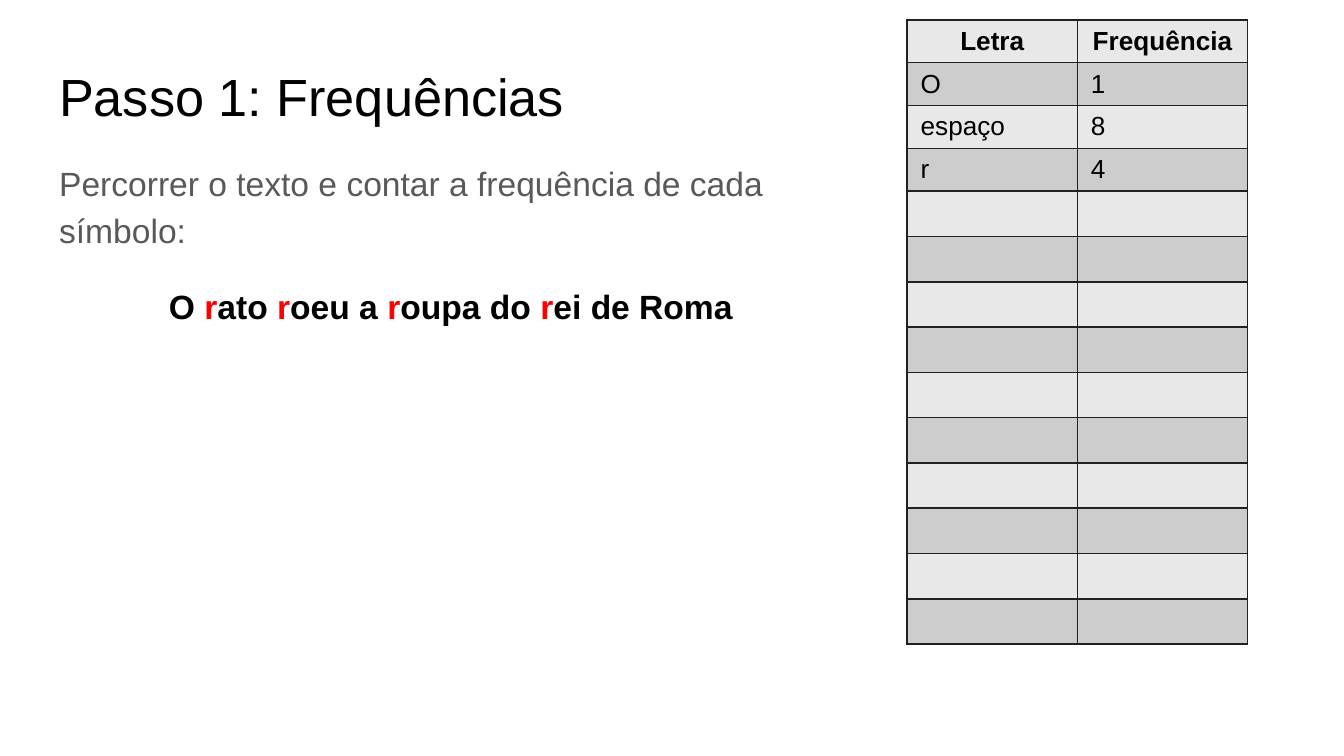
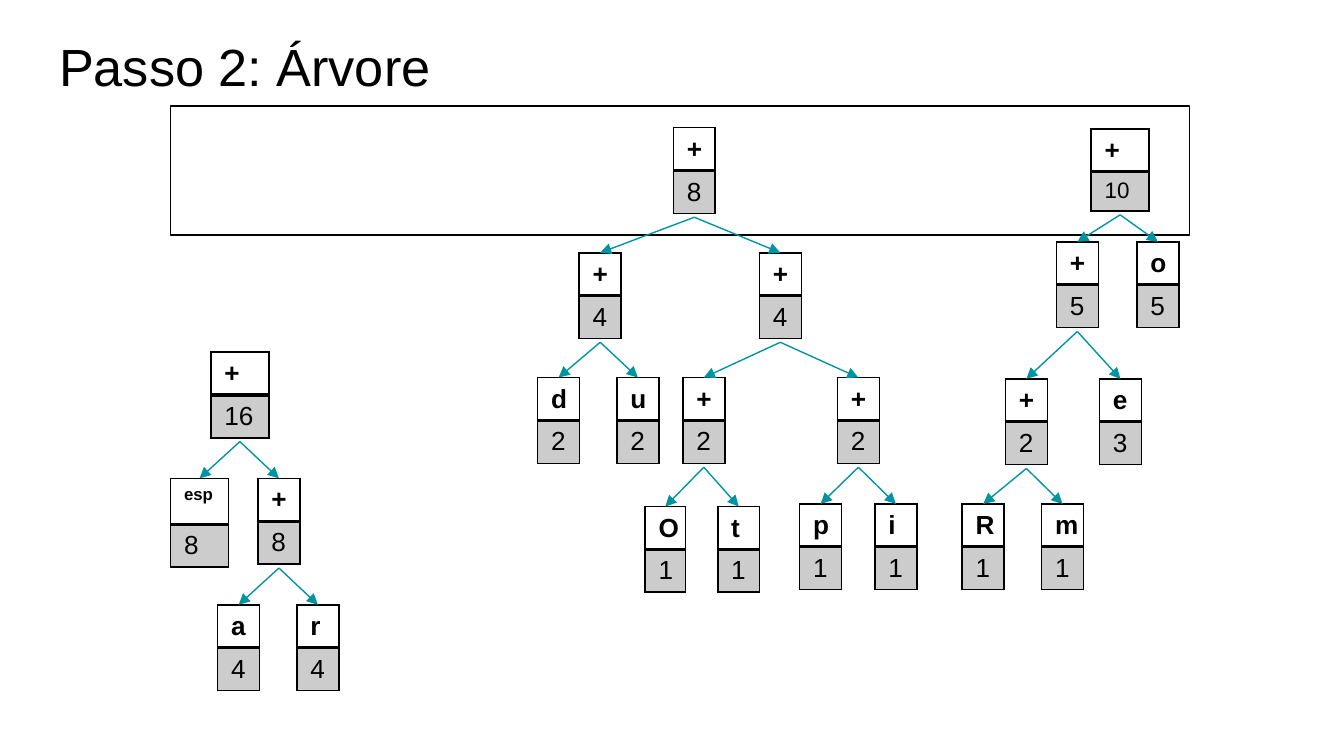
import pptx
import pptx.dml.color
import pptx.enum.shapes
import pptx.enum.text
import pptx.oxml
import pptx.oxml.ns
import pptx.util
from lxml import etree

Pt = pptx.util.Pt
qn = pptx.oxml.ns.qn
ALIGN = pptx.enum.text.PP_ALIGN

FONT = "Arial"
BLACK, GRAY, RED, TEAL = "000000", "595959", "FF0000", "0094A3"
LIGHT, DARK, GRID = "E8E8E8", "CDCDCD", "212121"
ROW_H = 22.9


def paint(fill, color, alpha=None):
    """Make a fill (of a shape, line, font or cell) solid, with alpha in percent."""
    fill.solid()
    fill.fore_color.rgb = pptx.dml.color.RGBColor.from_string(color)
    if alpha is not None:
        srgb = fill._xPr.find(qn("a:solidFill"))[0]
        etree.SubElement(srgb, qn("a:alpha")).set("val", str(alpha * 1000))


def set_cell(cell, text, size, bold, border, bottom=1):
    """Write a cell's text and draw its four borders."""
    p = cell.text_frame.paragraphs[0]
    p.text = text
    for r in p.runs:
        r.font.name, r.font.size, r.font.bold = FONT, Pt(size), bold
        paint(r.font.fill, BLACK)
    p._p.get_or_add_endParaRPr().set("sz", str(size * 100))
    tcPr = cell._tc.get_or_add_tcPr()
    for i, (side, width) in enumerate([("L", 1), ("R", 1), ("T", 1), ("B", bottom)]):
        ln = etree.Element(qn("a:ln" + side), w=str(Pt(width)))
        fill = etree.SubElement(ln, qn("a:solidFill"))
        etree.SubElement(fill, qn("a:srgbClr"), val=border)
        tcPr.insert(i, ln)


prs = pptx.Presentation()
prs.slide_width, prs.slide_height = Pt(720), Pt(405)

# Slides and their titles: layout, title, title top
slides = []
for layout, title, top in [(1, "Passo 1: Frequências", 24.5), (5, "Passo 2: Árvore", 8.6)]:
    s = prs.slides.add_slide(prs.slide_layouts[layout])
    sp = s.shapes.title
    sp.left, sp.top, sp.width, sp.height = Pt(24.5), Pt(top), Pt(671), Pt(45.4)
    tf = sp.text_frame
    tf.text = title
    tf.auto_size = pptx.enum.text.MSO_AUTO_SIZE.NONE
    tf.vertical_anchor = pptx.enum.text.MSO_ANCHOR.TOP
    tf.margin_left = tf.margin_right = tf.margin_bottom = Pt(7.2)
    tf.margin_top = Pt(10)
    p = tf.paragraphs[0]
    p.alignment = ALIGN.LEFT
    r = p.runs[0]
    r.font.name, r.font.size = FONT, Pt(28)
    paint(r.font.fill, BLACK)
    slides.append(s)

# Slide 1: explanation
s = slides[0]
sp = s.placeholders[1]
sp.left, sp.top, sp.width, sp.height = Pt(24.5), Pt(74.2), Pt(434), Pt(330.8)
tf = sp.text_frame
tf.auto_size = pptx.enum.text.MSO_AUTO_SIZE.NONE
tf.vertical_anchor = pptx.enum.text.MSO_ANCHOR.TOP
tf.margin_left = tf.margin_right = tf.margin_bottom = Pt(7.2)
tf.margin_top = Pt(10)
intro = [("Percorrer o texto e contar a frequência de cada símbolo:", GRAY)]
phrase = [("O ", BLACK)]
for rest in ["ato ", "oeu a ", "oupa do ", "ei de Roma"]:
    phrase += [("r", RED), (rest, BLACK)]
for p, pieces, align, before, bold in [
    (tf.paragraphs[0], intro, ALIGN.LEFT, 0, False),
    (tf.add_paragraph(), phrase, ALIGN.CENTER, 16, True),
]:
    p.alignment, p.line_spacing, p.space_before = align, 1.15, Pt(before)
    pPr = p._p.get_or_add_pPr()
    pPr.set("marL", "0")
    pPr.set("indent", "0")
    etree.SubElement(pPr, qn("a:buNone"))
    for text, color in pieces:
        r = p.add_run()
        r.text = text
        r.font.name, r.font.size, r.font.bold = FONT, Pt(18), bold
        paint(r.font.fill, color)

# Slide 1: frequency table, with rows left to fill in
rows = [("Letra", "Frequência"), ("O", "1"), ("espaço", "8"), ("r", "4")]
rows += [("", "")] * 10
tbl = s.shapes.add_table(len(rows), 2, Pt(486), Pt(10.6), Pt(182.4), Pt(ROW_H * len(rows))).table
tbl.first_row = tbl.horz_banding = False
for i, row in enumerate(rows):
    for j, text in enumerate(row):
        cell = tbl.cell(i, j)
        paint(cell.fill, DARK if i % 2 else LIGHT)
        set_cell(cell, text, 14, i == 0, GRID)
        if i == 0:
            cell.text_frame.paragraphs[0].alignment = ALIGN.CENTER

# Slide 2: frame around the current roots
s = slides[1]
sp = s.shapes.add_shape(pptx.enum.shapes.MSO_SHAPE.RECTANGLE, Pt(91.4), Pt(56.9), Pt(545.8), Pt(69.1))
sp.shadow.inherit = False
sp.fill.background()
paint(sp.line.fill, BLACK)
sp.line.width = Pt(0.75)

# Slide 2: tree nodes: key, left, top, label, count, children
nodes = [
    ("O", 345.6, 271.4, "O", "1", ""),
    ("t", 384.5, 271.4, "t", "1", ""),
    ("p", 428.4, 270, "p", "1", ""),
    ("i", 468.7, 270, "i", "1", ""),
    ("R", 515.5, 270, "R", "1", ""),
    ("m", 558, 270, "m", "1", ""),
    ("d", 288, 202.3, "d", "2", ""),
    ("u", 330.5, 202.3, "u", "2", ""),
    ("e", 589, 203, "e", "3", ""),
    ("a", 116.6, 324, "a", "4", ""),
    ("r", 159.1, 324, "r", "4", ""),
    ("o", 609.1, 129.6, "o", "5", ""),
    ("esp", 91.4, 256.3, "esp", "8", ""),
    ("Ot", 365.8, 202.3, "+", "2", "O t"),
    ("pi", 448.6, 202.3, "+", "2", "p i"),
    ("Rm", 538.6, 203, "+", "2", "R m"),
    ("du", 310.3, 135.4, "+", "4", "d u"),
    ("Otpi", 406.8, 135.4, "+", "4", "Ot pi"),
    ("Rme", 565.9, 129.6, "+", "5", "Rm e"),
    ("ar", 138.2, 256.3, "+", "8", "a r"),
    ("duOtpi", 360.7, 68.4, "+", "8", "du Otpi"),
    ("Rmeo", 584.6, 69.1, "+", "10", "Rme o"),
    ("espar", 113, 188.6, "+", "16", "esp ar"),
]
widths = {"O": 21.6, "esp": 31, "Rmeo": 31, "espar": 31}
tops = {}
for key, left, top, label, count, children in nodes:
    width = widths.get(key, 22.5)
    center = left + width / 2
    tops[key] = (center, top)
    tbl = s.shapes.add_table(2, 1, Pt(left), Pt(top), Pt(width), Pt(2 * ROW_H)).table
    tbl.first_row = tbl.horz_banding = False
    if key == "esp":
        tbl.rows[0].height = Pt(24.5)
    if key == "Rmeo":
        tbl.rows[1].height = Pt(20.9)
    tbl.cell(0, 0).fill.background()
    set_cell(tbl.cell(0, 0), label, 9 if key == "esp" else 14, True, BLACK, bottom=2)
    paint(tbl.cell(1, 0).fill, BLACK, alpha=20)
    set_cell(tbl.cell(1, 0), count, 12 if key == "Rmeo" else 14, False, BLACK)

    bottom = top + (46 if key == "Rmeo" else 48)
    for child in children.split():
        x, y = tops[child]
        cxn = s.shapes.add_connector(
            pptx.enum.shapes.MSO_CONNECTOR.STRAIGHT, Pt(center), Pt(bottom), Pt(x), Pt(y))
        paint(cxn.line.fill, TEAL)
        cxn.line.width = Pt(0.75)
        etree.SubElement(cxn.line._get_or_add_ln(), qn("a:tailEnd"), type="triangle")
        etree.SubElement(cxn._element.spPr, qn("a:effectLst"))

prs.save("out.pptx")
